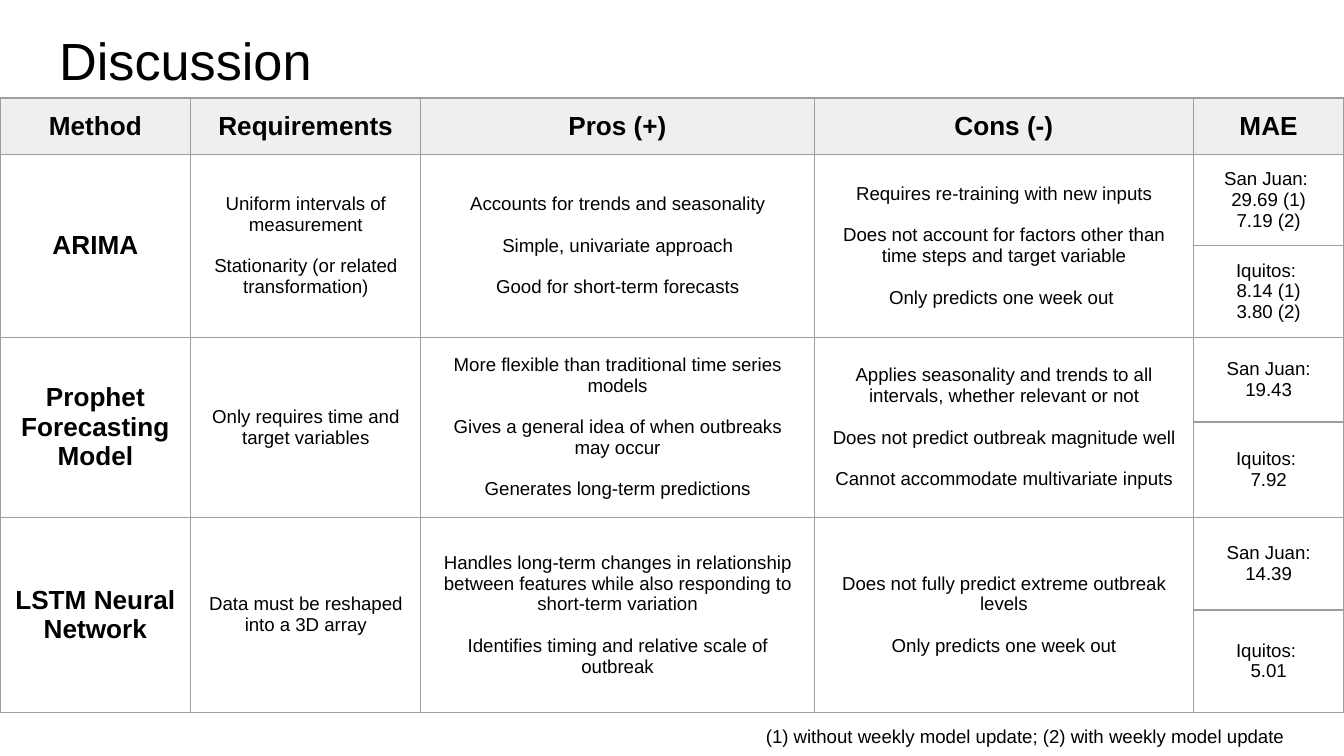
from dataclasses import dataclass

from lxml.etree import SubElement
from pptx import Presentation
from pptx.dml.color import RGBColor as Rgb
from pptx.enum.text import MSO_ANCHOR as Anchor, PP_ALIGN as Align
from pptx.oxml.ns import qn
from pptx.slide import Slide
from pptx.table import Table, _Cell as Cell
from pptx.text.text import TextFrame as Frame
from pptx.util import Inches, Pt


@dataclass(frozen=True)
class Theme:
    font: str = "Arial"
    ink: str = "000000"
    paper: str = "FFFFFF"
    head: str = "EFEFEF"
    rule: str = "9E9E9E"
    line: float = 0.75
    title: float = 28
    label: float = 14
    body: float = 10
    gap: float = 11
    inset: float = 0.1


@dataclass(frozen=True)
class Method:
    name: str
    needs: list[str]
    pros: list[str]
    cons: list[str]
    juan: list[str]
    iqui: list[str]


THEME = Theme()
HEADS = ["Method", "Requirements", "Pros (+)", "Cons (-)", "MAE"]
COLS = [1.42, 1.71, 2.93, 2.82, 1.12]
ROWS = [0.42, 0.68, 0.68, 0.63, 0.71, 0.69, 0.76]
METHODS = [
    Method(
        "ARIMA",
        ["Uniform intervals of measurement", "Stationarity (or related transformation)"],
        ["Accounts for trends and seasonality", "Simple, univariate approach",
         "Good for short-term forecasts"],
        ["Requires re-training with new inputs",
         "Does not account for factors other than time steps and target variable",
         "Only predicts one week out "],
        ["San Juan: ", "29.69 (1)", "7.19 (2)"],
        ["Iquitos: ", "8.14 (1)", "3.80 (2)"],
    ),
    Method(
        "Prophet Forecasting Model",
        ["Only requires time and target variables"],
        ["More flexible than traditional time series models",
         "Gives a general idea of when outbreaks may occur",
         "Generates long-term predictions"],
        ["Applies seasonality and trends to all intervals, whether relevant or not",
         "Does not predict outbreak magnitude well",
         "Cannot accommodate multivariate inputs"],
        ["San Juan: 19.43"],
        ["Iquitos: ", "7.92"],
    ),
    Method(
        "LSTM Neural Network",
        ["Data must be reshaped into a 3D array"],
        ["Handles long-term changes in relationship between features "
         "while also responding to short-term variation",
         "Identifies timing and relative scale of outbreak"],
        ["Does not fully predict extreme outbreak levels", "Only predicts one week out"],
        ["San Juan: 14.39"],
        ["Iquitos: ", "5.01"],
    ),
]


def write(frame: Frame, lines: list[str], size: float, bold: bool = False,
          align: Align = Align.LEFT, gap: float = 0) -> None:
    for i, line in enumerate(lines):
        para = frame.paragraphs[0] if i == 0 else frame.add_paragraph()
        para.alignment = align
        para.space_before = Pt(gap if i else 0)
        run = para.add_run()
        run.text = line
        font = run.font
        font.name, font.size, font.bold = THEME.font, Pt(size), bold
        font.color.rgb = Rgb.from_string(THEME.ink)


def pad(box: Frame | Cell) -> None:
    box.margin_left = box.margin_right = Inches(THEME.inset)
    box.margin_top = box.margin_bottom = Inches(THEME.inset)


def style(cell: Cell, fill: str) -> None:
    pad(cell)
    props = cell._tc.get_or_add_tcPr()
    for side in ("lnL", "lnR", "lnT", "lnB"):
        edge = SubElement(props, qn(f"a:{side}"), w=str(Pt(THEME.line)))
        paint = SubElement(edge, qn("a:solidFill"))
        SubElement(paint, qn("a:srgbClr"), val=THEME.rule)
    cell.fill.solid()
    cell.fill.fore_color.rgb = Rgb.from_string(fill)


def put(cell: Cell, lines: list[str], size: float, bold: bool = False,
        gap: float = 0) -> None:
    cell.vertical_anchor = Anchor.MIDDLE
    write(cell.text_frame, lines, size, bold, Align.CENTER, gap)


def draw_method(grid: Table, top: int, item: Method) -> None:
    for col in range(4):
        grid.cell(top, col).merge(grid.cell(top + 1, col))
    put(grid.cell(top, 0), [item.name], THEME.label, True)
    for col, lines in enumerate((item.needs, item.pros, item.cons), 1):
        put(grid.cell(top, col), lines, THEME.body, gap=THEME.gap)
    for row, lines in enumerate((item.juan, item.iqui), top):
        put(grid.cell(row, 4), lines, THEME.body)


def draw_grid(slide: Slide) -> None:
    grid = slide.shapes.add_table(
        len(ROWS), len(COLS), 0, Inches(0.73), Inches(sum(COLS)), Inches(sum(ROWS))
    ).table
    grid.first_row = grid.horz_banding = False
    for col, width in zip(grid.columns, COLS):
        col.width = Inches(width)
    for i, (row, height) in enumerate(zip(grid.rows, ROWS)):
        row.height = Inches(height)
        for cell in row.cells:
            style(cell, THEME.paper if i else THEME.head)
    for col, head in enumerate(HEADS):
        put(grid.cell(0, col), [head], THEME.label, True)
    for i, item in enumerate(METHODS):
        draw_method(grid, 1 + 2 * i, item)


def draw_title(slide: Slide, text: str) -> None:
    title = slide.shapes.title
    title.left, title.top = Inches(0.34), Inches(0.11)
    title.width, title.height = Inches(9.32), Inches(0.63)
    frame = title.text_frame
    pad(frame)
    frame.vertical_anchor = Anchor.TOP
    write(frame, [text], THEME.title)


def draw_note(slide: Slide, text: str) -> None:
    box = slide.shapes.add_textbox(Inches(5.6), Inches(5.31), Inches(4.4), Inches(0.4))
    frame = box.text_frame
    frame.word_wrap = True
    pad(frame)
    write(frame, [text], THEME.body)


def main() -> None:
    deck = Presentation()
    deck.slide_width = Inches(10)
    deck.slide_height = deck.slide_width * 9 // 16
    slide = deck.slides.add_slide(deck.slide_layouts[5])
    draw_grid(slide)
    draw_title(slide, "Discussion")
    draw_note(slide, "(1) without weekly model update; (2) with weekly model update")
    deck.save("out.pptx")


if __name__ == "__main__":
    main()
